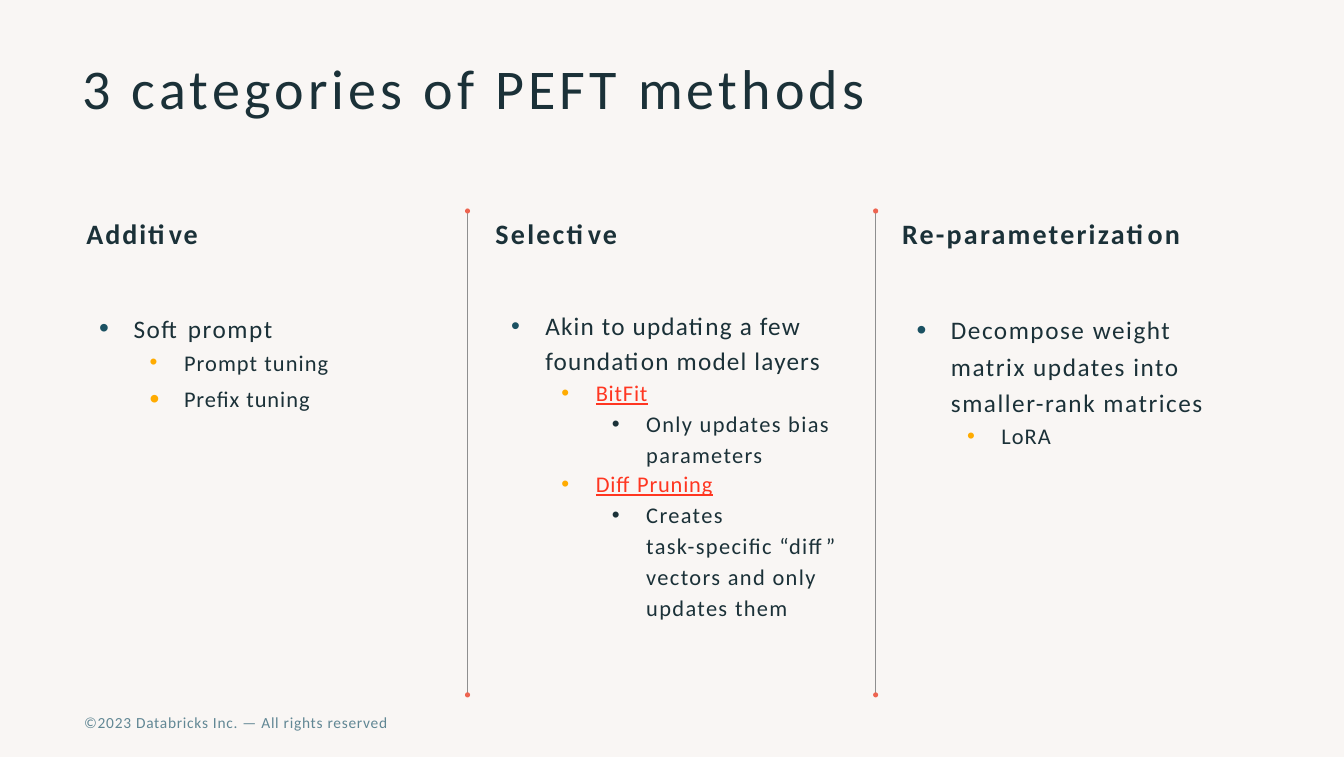
from lxml.etree import SubElement
from pptx import Presentation
from pptx.dml.color import RGBColor
from pptx.enum.shapes import MSO_CONNECTOR, MSO_SHAPE
from pptx.enum.text import MSO_ANCHOR, MSO_AUTO_SIZE, PP_ALIGN
from pptx.oxml.ns import qn
from pptx.util import Pt

CREAM = RGBColor(0xF9, 0xF6, 0xF4)
INK = RGBColor(0x1B, 0x31, 0x38)
SLATE = RGBColor(0x61, 0x87, 0x94)
TEAL = RGBColor(0x1B, 0x51, 0x62)
AMBER = RGBColor(0xFF, 0xAB, 0x00)
RED = RGBColor(0xFF, 0x36, 0x21)
CORAL = RGBColor(0xEE, 0x64, 0x50)
GRAY = RGBColor(0x8F, 0x8F, 0x8F)

LEVEL_SIZES = (18, 16, 16)
BULLET_COLORS = (TEAL, AMBER, INK)


def write(paragraph, text, size, spacing, color=INK, bold=False, underline=False):
    """Fill a left-aligned paragraph with one letter-spaced Calibri style."""
    paragraph.text = text
    paragraph.alignment = PP_ALIGN.LEFT
    looks = {"name": "Calibri", "size": Pt(size), "bold": bold, "underline": underline}
    for run in paragraph.runs:
        for attribute, value in looks.items():
            setattr(run.font, attribute, value)
        run.font.color.rgb = color
        run.font._element.set("spc", str(round(spacing * 100)))


def place(shape, left, top, width, height):
    """Position a text shape and return its frame, top-anchored without insets."""
    shape.left, shape.top, shape.width, shape.height = map(Pt, (left, top, width, height))
    frame = shape.text_frame
    settings = {
        "margin_left": 0, "margin_top": 0, "margin_right": 0, "margin_bottom": 0,
        "word_wrap": True, "auto_size": MSO_AUTO_SIZE.NONE,
        "vertical_anchor": MSO_ANCHOR.TOP,
    }
    for attribute, value in settings.items():
        setattr(frame, attribute, value)
    return frame


deck = Presentation()
deck.slide_width, deck.slide_height = Pt(959), Pt(540)
slide = deck.slides.add_slide(deck.slide_layouts[4])
slide.background.fill.solid()
slide.background.fill.fore_color.rgb = CREAM

# Dividers between the columns
DIVIDER_TOP, DIVIDER_BOTTOM, DOT = 150.5, 495.7, 3.6
for x in (333.6, 624.8):
    divider = slide.shapes.add_connector(
        MSO_CONNECTOR.STRAIGHT, Pt(x), Pt(DIVIDER_TOP), Pt(x), Pt(DIVIDER_BOTTOM))
    divider.line.color.rgb = GRAY
    divider.line.width = Pt(0.75)
    SubElement(divider._element.spPr, qn("a:effectLst"))
    for y in (DIVIDER_TOP, DIVIDER_BOTTOM):
        dot = slide.shapes.add_shape(
            MSO_SHAPE.OVAL, Pt(x - DOT / 2), Pt(y - DOT / 2), Pt(DOT), Pt(DOT))
        dot.shadow.inherit = False
        dot.fill.solid()
        dot.fill.fore_color.rgb = CORAL
        dot.line.fill.background()

title = place(slide.shapes.title, 59, 38.2, 880, 80)
write(title.paragraphs[0], "3 categories of PEFT methods", 40, 3)

copyright_line = place(slide.shapes.add_textbox(0, 0, 0, 0), 60, 509, 240, 16)
write(copyright_line.paragraphs[0], "©2023 Databricks Inc. — All rights reserved",
      11, 0.5, SLATE)

# Items: level, text, letter spacing, space before, line spacing, bullet size in %
columns = [
    ("Additive", 1.4, 61.7, 2, (69.8, 223.2, 240), [
        (0, "Soft prompt", 1.1, 0, 1, 111),
        (1, "Prompt tuning", 0.8, 3.9, 1, 100),
        (1, "Preﬁx tuning", 0.7, 6.8, 1, 125),
    ]),
    ("Selective", 1.6, 353.5, 4, (363.6, 218.1, 238), [
        (0, "Akin to updating a few foundation model layers", 0.85, 0, 1.15, 100),
        (1, "BitFit", 0.6, 2.7, 1, 100),
        (2, "Only updates bias parameters", 0.95, 0, 1.15, 100),
        (1, "Diff Pruning", 0.6, 1.8, 1, 100),
        (2, "Creates\vtask-speciﬁc “diff” vectors and only updates them",
         1, 0, 1.15, 100),
    ]),
    ("Re-parameterization", 1.55, 643.7, 3, (653, 219.6, 210), [
        (0, "Decompose weight matrix updates into smaller-rank matrices",
         1.1, 0, 1.21, 111),
        (1, "LoRA", 0.8, 3, 1, 100),
    ]),
]
linked_methods = ("BitFit", "Diff Pruning")

for heading, heading_spacing, heading_left, slot, (left, top, width), items in columns:
    heading_frame = place(slide.shapes.add_textbox(0, 0, 0, 0), heading_left, 154.1, 250, 26)
    write(heading_frame.paragraphs[0], heading, 20, heading_spacing, bold=True)

    methods = place(slide.placeholders[slot], left, top, width, 250)
    for index, (level, text, spacing, before, leading, bullet_size) in enumerate(items):
        item = methods.paragraphs[0] if index == 0 else methods.add_paragraph()
        properties = item._p.get_or_add_pPr()
        properties.set("marL", str(Pt(25.5 + 36 * level)))
        properties.set("indent", str(Pt(-24.5)))
        bullet_color = SubElement(properties, qn("a:buClr"))
        SubElement(bullet_color, qn("a:srgbClr"), val=str(BULLET_COLORS[level]))
        SubElement(properties, qn("a:buSzPct"), val=str(bullet_size * 1000))
        SubElement(properties, qn("a:buChar"), char="•")
        item.level = level
        item.space_before = Pt(before)
        item.line_spacing = float(leading)
        linked = text in linked_methods
        write(item, text, LEVEL_SIZES[level], spacing,
              RED if linked else INK, underline=linked)

unused = slide.placeholders[1]._element
unused.getparent().remove(unused)

deck.save("out.pptx")
